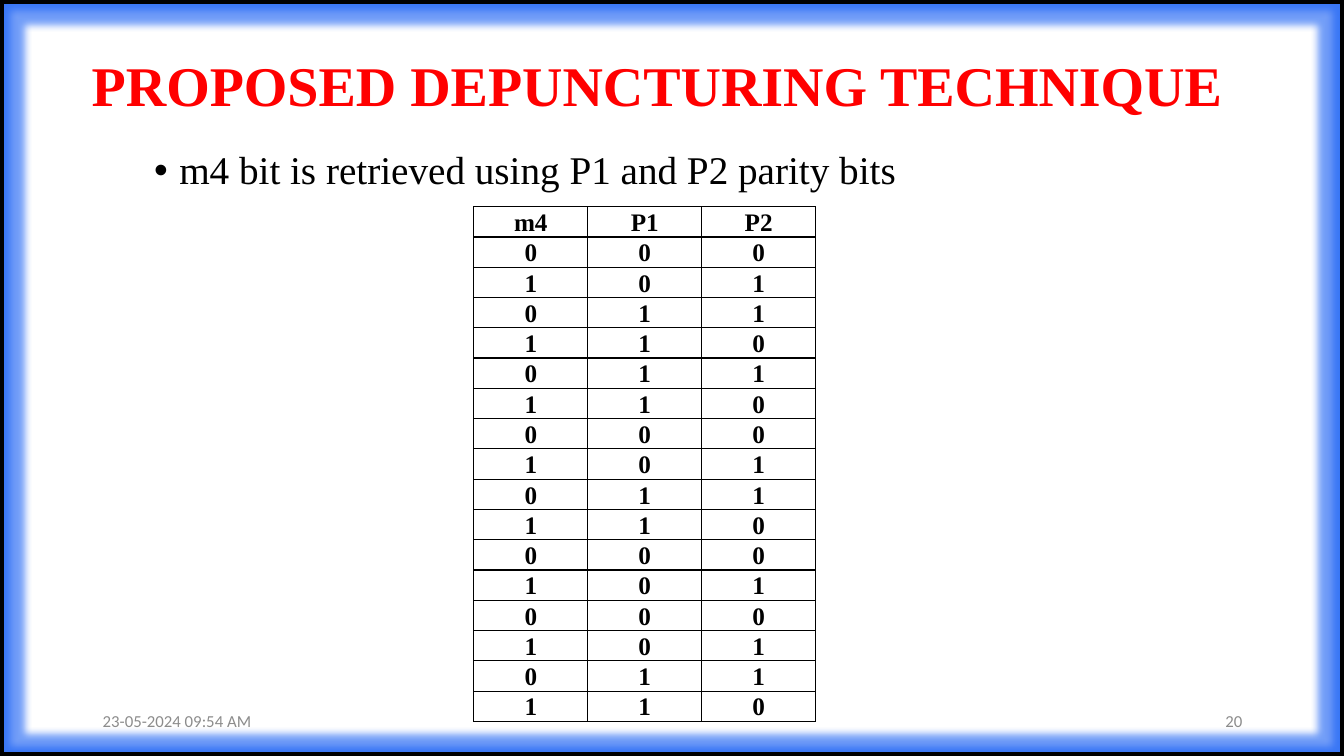
from dataclasses import dataclass

from lxml.etree import SubElement
from pptx import Presentation
from pptx.dml.color import RGBColor as RGB
from pptx.enum.shapes import MSO_SHAPE as Preset
from pptx.enum.text import MSO_ANCHOR as Anchor, MSO_AUTO_SIZE as AutoSize, PP_ALIGN as Align
from pptx.oxml.ns import qn
from pptx.util import Inches, Pt

TITLE = "PROPOSED DEPUNCTURING TECHNIQUE"
BULLET = "m4 bit is retrieved using P1 and P2 parity bits"
PARITY_HEADER = ("m4", "P1", "P2")
PARITY_BITS = [
    (0, 0, 0), (1, 0, 1), (0, 1, 1), (1, 1, 0),
    (0, 1, 1), (1, 1, 0), (0, 0, 0), (1, 0, 1),
    (0, 1, 1), (1, 1, 0), (0, 0, 0), (1, 0, 1),
    (0, 0, 0), (1, 0, 1), (0, 1, 1), (1, 1, 0),
]
# text, left, alignment
FOOTERS = [
    ("20", 9.42, Align.RIGHT),
    ("23-05-2024 09:54 AM", 0.92, Align.LEFT),
]
SLIDE_SIZE = (13.33, 7.5)
COLUMN_WIDTH, ROW_HEIGHT = 1.13, 0.26


@dataclass(frozen=True)
class Theme:
    serif: str = "Times New Roman"
    sans: str = "Calibri"
    red: str = "FF0000"
    black: str = "000000"
    grey: str = "8C8C8C"
    glow: str = "145DF4"
    title_size: int = 40
    bullet_size: int = 28
    table_size: int = 18
    footer_size: int = 12


THEME = Theme()


def add_run(paragraph, text, size, color, face=THEME.serif, bold=False):
    run = paragraph.add_run()
    run.text = text
    font = run.font
    font.name, font.size, font.bold = face, Pt(size), bold
    font.color.rgb = RGB.from_string(color)


def place(box, left, top, width, height):
    box.left, box.top, box.width, box.height = map(Inches, (left, top, width, height))


def add_title(slide):
    title = slide.shapes.title
    place(title, 0.81, 0.15, 11.5, 1.45)
    frame = title.text_frame
    frame.word_wrap, frame.auto_size = True, AutoSize.NONE
    frame.vertical_anchor = Anchor.MIDDLE
    heading = frame.paragraphs[0]
    heading.alignment, heading.line_spacing = Align.LEFT, 0.9
    add_run(heading, TITLE, THEME.title_size, THEME.red, bold=True)


def add_bullet(slide):
    body = slide.shapes.add_textbox(*map(Inches, (1.43, 1.45, 11.5, 4.76)))
    body.text_frame.word_wrap = True
    point = body.text_frame.paragraphs[0]
    point.line_spacing = 0.9
    props = point._p.get_or_add_pPr()
    props.set("marL", str(Inches(0.25)))
    props.set("indent", str(-Inches(0.25)))
    SubElement(props, qn("a:buFont"), typeface="Arial")
    SubElement(props, qn("a:buChar"), char="•")
    add_run(point, BULLET, THEME.bullet_size, THEME.black)


def border_cell(cell):
    props = cell._tc.get_or_add_tcPr()
    for side in ("lnL", "lnR", "lnT", "lnB"):
        line = SubElement(props, qn(f"a:{side}"), w=str(Pt(1)))
        SubElement(SubElement(line, qn("a:solidFill")), qn("a:srgbClr"), val=THEME.black)


def add_parity_table(slide):
    rows = [PARITY_HEADER, *PARITY_BITS]
    columns = len(PARITY_HEADER)
    table = slide.shapes.add_table(
        len(rows), columns, Inches(4.7), Inches(2.05),
        Inches(COLUMN_WIDTH * columns), Inches(ROW_HEIGHT * len(rows)),
    ).table
    table.first_row = table.horz_banding = False
    for column in table.columns:
        column.width = Inches(COLUMN_WIDTH)
    for r, values in enumerate(rows):
        table.rows[r].height = Inches(ROW_HEIGHT)
        for c, value in enumerate(values):
            cell = table.cell(r, c)
            border_cell(cell)
            cell.fill.background()
            cell.margin_left = cell.margin_right = cell.margin_top = cell.margin_bottom = 0
            cell.vertical_anchor = Anchor.BOTTOM
            entry = cell.text_frame.paragraphs[0]
            entry.alignment = Align.CENTER
            add_run(entry, str(value), THEME.table_size, THEME.black, bold=True)


def add_glowing_border(slide):
    border = slide.shapes.add_shape(Preset.RECTANGLE, 0, 0, *map(Inches, SLIDE_SIZE))
    border.fill.background()
    border.line.color.rgb = RGB.from_string(THEME.black)
    border.line.width = Pt(6)
    border.shadow.inherit = False
    effects = border._element.spPr.find(qn("a:effectLst"))
    glow = SubElement(effects, qn("a:glow"), rad=str(Pt(11)))
    color = SubElement(glow, qn("a:srgbClr"), val=THEME.glow)
    SubElement(color, qn("a:alpha"), val="60000")


def add_footer(slide, text, left, alignment):
    footer = slide.shapes.add_textbox(*map(Inches, (left, 6.95, 3, 0.4)))
    footer.text_frame.word_wrap = True
    footer.text_frame.vertical_anchor = Anchor.MIDDLE
    line = footer.text_frame.paragraphs[0]
    line.alignment = alignment
    add_run(line, text, THEME.footer_size, THEME.grey, THEME.sans)


def main():
    deck = Presentation()
    deck.slide_width, deck.slide_height = map(Inches, SLIDE_SIZE)
    slide = deck.slides.add_slide(deck.slide_layouts[5])
    add_title(slide)
    add_bullet(slide)
    add_parity_table(slide)
    add_glowing_border(slide)
    for footer in FOOTERS:
        add_footer(slide, *footer)
    deck.save("out.pptx")


if __name__ == "__main__":
    main()
